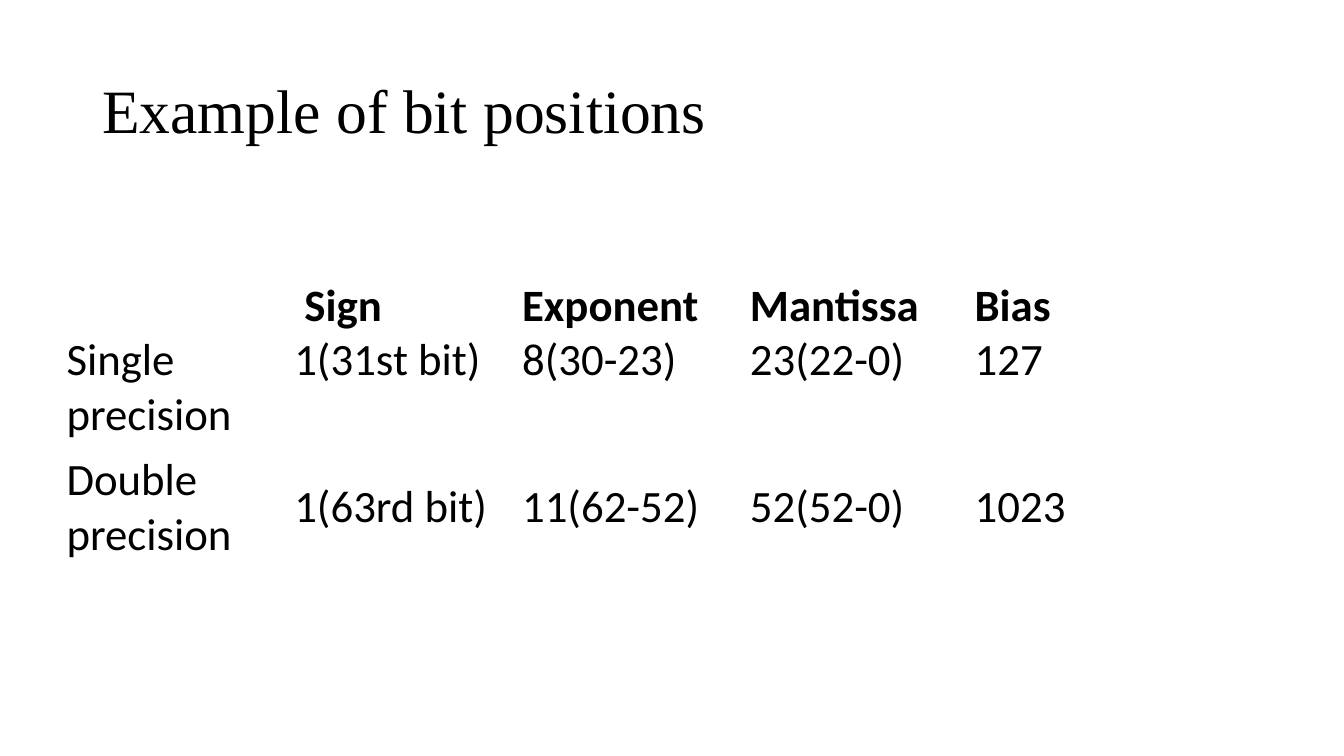
from typing import NamedTuple

from pptx import Presentation
from pptx.dml.color import RGBColor
from pptx.enum.text import MSO_ANCHOR as Anchor
from pptx.util import Pt

BLACK = "000000"
COLUMN_WIDTHS = (162.72, 162.72, 162.72, 160.56, 164.16)
ROW_HEIGHTS = (163.5, 85.3)


class Entry(NamedTuple):
    """A table cell: its value, with an optional bold heading above."""
    value: str
    heading: str = ""
    anchor: Anchor = Anchor.MIDDLE


ROWS = (
    (
        Entry("Single precision", anchor=Anchor.BOTTOM),
        Entry("1(31st bit)", " Sign"),
        Entry("8(30-23)", "Exponent"),
        Entry("23(22-0)", "Mantissa"),
        Entry("127", "Bias"),
    ),
    (
        Entry("Double precision"),
        Entry("1(63rd bit)"),
        Entry("11(62-52)"),
        Entry("52(52-0)"),
        Entry("1023"),
    ),
)


def color(value: str) -> RGBColor:
    return RGBColor.from_string(value)


def style(paragraph, name: str, size: float, bold: bool = False) -> None:
    font = paragraph.font
    font.name, font.size, font.bold = name, Pt(size), bold
    font.color.rgb = color(BLACK)


def add_title(page, text: str) -> None:
    box = page.shapes.add_textbox(Pt(66), Pt(28.8), Pt(828), Pt(104.4))
    frame = box.text_frame
    frame.word_wrap = True
    frame.vertical_anchor = Anchor.MIDDLE
    paragraph = frame.paragraphs[0]
    paragraph.text = text
    paragraph.line_spacing = 0.9
    style(paragraph, "Times New Roman", 44)


def fill_cell(cell, entry: Entry) -> None:
    cell.fill.background()
    cell.vertical_anchor = entry.anchor
    frame = cell.text_frame
    paragraph = frame.paragraphs[0]
    if entry.heading:
        paragraph.text = entry.heading
        style(paragraph, "Calibri", 32, bold=True)
        paragraph = frame.add_paragraph()
    paragraph.text = entry.value
    style(paragraph, "Calibri", 32)


def add_precision_table(page) -> None:
    table = page.shapes.add_table(
        len(ROWS), len(COLUMN_WIDTHS), Pt(40.32), Pt(156.24),
        Pt(sum(COLUMN_WIDTHS)), Pt(sum(ROW_HEIGHTS)),
    ).table
    table.first_row = table.horz_banding = False
    for column, width in zip(table.columns, COLUMN_WIDTHS):
        column.width = Pt(width)
    for row, height, entries in zip(table.rows, ROW_HEIGHTS, ROWS):
        row.height = Pt(height)
        for cell, entry in zip(row.cells, entries):
            fill_cell(cell, entry)


def main() -> None:
    deck = Presentation()
    deck.slide_width, deck.slide_height = Pt(960), Pt(540)
    page = deck.slides.add_slide(deck.slide_layouts[6])
    add_title(page, "Example of bit positions")
    add_precision_table(page)
    deck.save("out.pptx")


if __name__ == "__main__":
    main()
